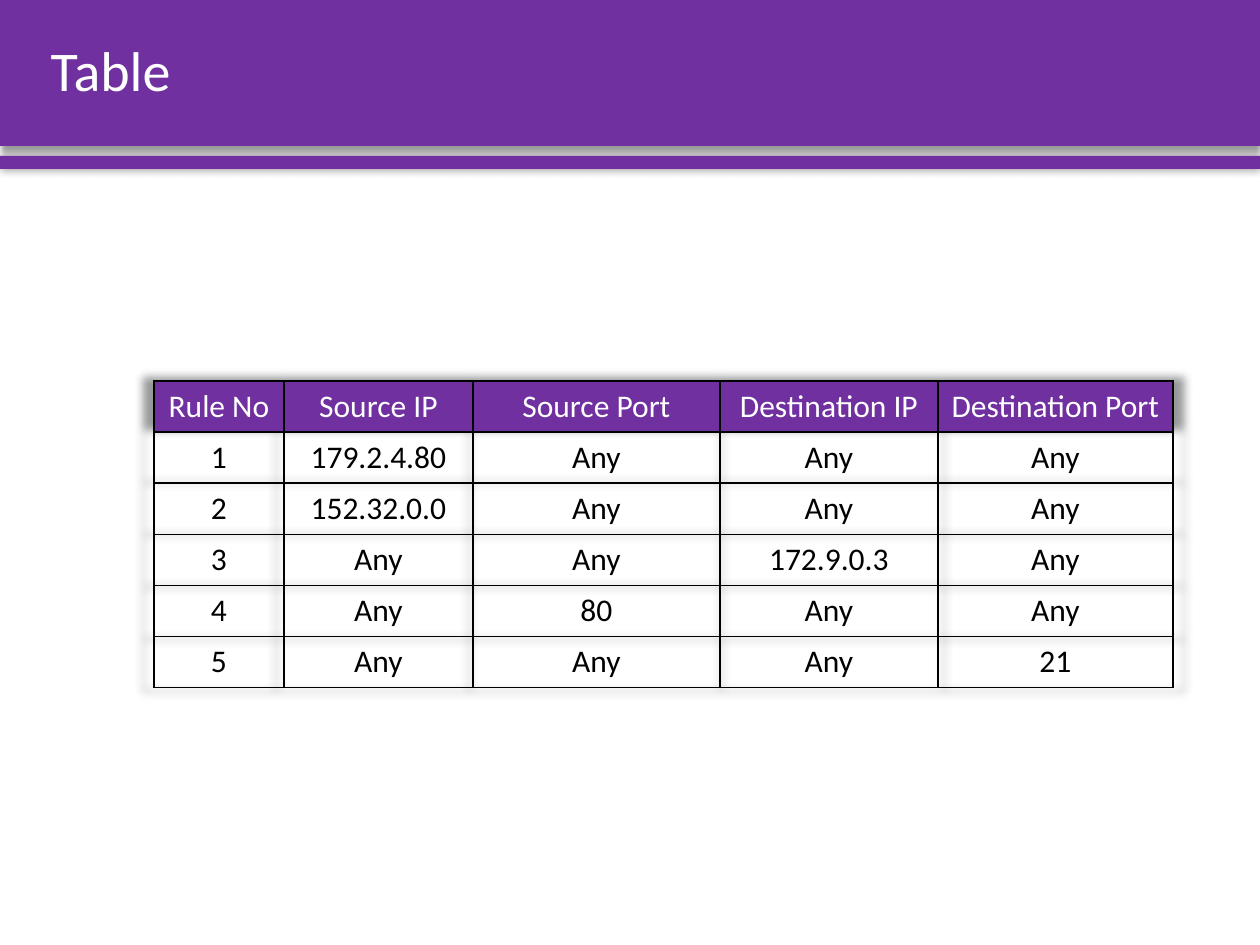
from lxml import etree
from pptx import Presentation, util as u
from pptx.dml.color import RGBColor
from pptx.enum import shapes, text
from pptx.oxml import parse_xml
from pptx.oxml.ns import qn

NS = 'xmlns:a="http://schemas.openxmlformats.org/drawingml/2006/main"'
HUES = {"band": "7030A0", "light": "FFFFFF", "dark": "000000"}
FONT = "Calibri"
COLS = [130, 189, 247, 218, 235]
ROW = 51
RULES = [
    ["Rule No", "Source IP", "Source Port", "Destination IP", "Destination Port"],
    ["1", "179.2.4.80", "Any", "Any", "Any"],
    ["2", "152.32.0.0", "Any", "Any", "Any"],
    ["3", "Any", "Any", "172.9.0.3", "Any"],
    ["4", "Any", "80", "Any", "Any"],
    ["5", "Any", "Any", "Any", "21"],
]


def px(n):
    """Turn pixels into EMU."""
    return u.Emu(round(n * 914400 / 126))


def hue(name):
    """Look up a colour."""
    return RGBColor.from_string(HUES[name])


def style(para, size, name):
    """Set the font of a paragraph."""
    font = para.font
    font.name, font.size = FONT, u.Pt(size)
    font.color.rgb = hue(name)


def shade(blur, dist=0, angle=0, grow=100):
    """Make an outer shadow effect; lengths in points, growth in percent."""
    return parse_xml(
        f'<a:effectLst {NS}><a:outerShdw blurRad="{u.Pt(blur)}" dist="{u.Pt(dist)}" '
        f'dir="{angle * 60000}" sx="{grow * 1000}" sy="{grow * 1000}" algn="ctr" '
        f'rotWithShape="0"><a:srgbClr val="{HUES["dark"]}"><a:alpha val="40000"/>'
        f'</a:srgbClr></a:outerShdw></a:effectLst>')


def add_band(slide, box, glow):
    """Draw a full-width band with a shadow."""
    band = slide.shapes.add_shape(shapes.MSO_SHAPE.RECTANGLE, *map(px, box))
    band.fill.solid()
    band.fill.fore_color.rgb = hue("band")
    band.line.fill.background()
    band._element.spPr.append(glow)


def add_title(slide, box, words):
    """Place the title in front of the bands."""
    title = slide.shapes.title
    title.left, title.top, title.width, title.height = map(px, box)
    frame = title.text_frame
    frame.text = words
    frame.auto_size = text.MSO_AUTO_SIZE.NONE
    frame.vertical_anchor = text.MSO_ANCHOR.MIDDLE
    para = frame.paragraphs[0]
    para.alignment = text.PP_ALIGN.LEFT
    para.line_spacing = 0.9
    style(para, 32, "light")
    slide.shapes._spTree.append(title._element)


def add_edges(cell):
    """Line all four sides of a cell."""
    props = cell._tc.get_or_add_tcPr()
    for at, side in enumerate(("lnL", "lnR", "lnT", "lnB")):
        line = etree.Element(qn(f"a:{side}"), w=str(u.Pt(1)))
        fill = etree.SubElement(line, qn("a:solidFill"))
        etree.SubElement(fill, qn("a:srgbClr"), val=HUES["dark"])
        props.insert(at, line)


def add_rules(slide, left, top):
    """Build the table of rules."""
    frame = slide.shapes.add_table(
        len(RULES), len(COLS), px(left), px(top), px(sum(COLS)), px(ROW * len(RULES)))
    table = frame.table
    table.first_row = table.horz_banding = False
    table._tbl.tblPr.insert(0, shade(5, grow=102))
    for col, wide in zip(table.columns, COLS):
        col.width = px(wide)
    for r, row in enumerate(RULES):
        table.rows[r].height = px(ROW)
        for c, words in enumerate(row):
            cell = table.cell(r, c)
            cell.text = words
            para = cell.text_frame.paragraphs[0]
            para.alignment = text.PP_ALIGN.CENTER
            style(para, 18, "dark" if r else "light")
            if r:
                cell.fill.background()
            else:
                cell.fill.solid()
                cell.fill.fore_color.rgb = hue("band")
            add_edges(cell)


def main():
    """Build and save the slide."""
    deck = Presentation()
    deck.slide_width, deck.slide_height = px(1260), px(945)
    slide = deck.slides.add_slide(deck.slide_layouts[5])
    add_band(slide, (0, 0, 1260, 146), shade(4, 3, 90))
    add_band(slide, (0, 156, 1260, 13), shade(5))
    add_rules(slide, 154, 381)
    add_title(slide, (38, 0, 1192, 146), "Table")
    deck.save("out.pptx")


if __name__ == "__main__":
    main()
